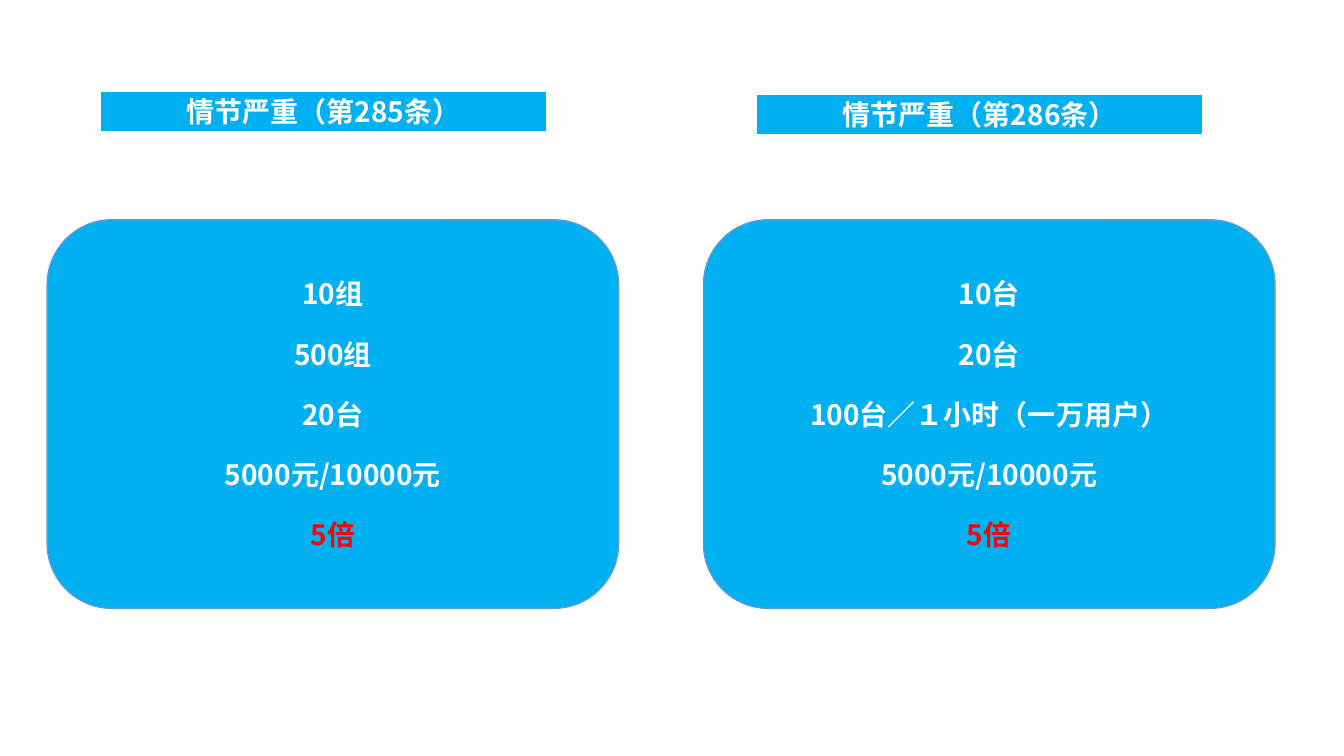
from lxml.etree import SubElement
from pptx import Presentation
from pptx.dml.color import RGBColor
from pptx.enum.shapes import MSO_SHAPE
from pptx.enum.text import MSO_ANCHOR, PP_ALIGN
from pptx.oxml.ns import qn
from pptx.util import Cm, Pt

COLOURS = {"panel": "00B0F0", "edge": "5B9BD5", "text": "FFFFFF", "alert": "FF0000"}
FONT = "Noto Sans CJK SC"
CARD_HEIGHT = 9.79
BANNER_INSET = 1.35
BANNER_HEIGHT = 1

ARTICLES = [
    ((1.19, 2.31, 14.4, 13.02), "情节严重（第285条）",
     ["10组", "500组", "20台", "5000元/10000元", "5倍"]),
    ((17.73, 2.39, 14.4, 12.94), "情节严重（第286条）",
     ["10台", "20台", "100台／１小时（一万用户）", "5000元/10000元", "5倍"]),
]


def colour(name):
    """Return the named palette colour."""
    return RGBColor.from_string(COLOURS[name])


def add_block(page, kind, box, lines):
    """Add a filled shape holding centred bold lines, and return it."""
    block = page.shapes.add_shape(kind, *[Cm(length) for length in box])
    block.shadow.inherit = False
    block.fill.solid()
    block.fill.fore_color.rgb = colour("panel")
    block.line.fill.background()
    frame = block.text_frame
    frame.word_wrap = True
    frame.vertical_anchor = MSO_ANCHOR.MIDDLE
    frame.text = "\n".join(lines)
    for index, para in enumerate(frame.paragraphs):
        para.alignment = PP_ALIGN.CENTER
        para.space_before = Pt(19 if index else 0)
        font = para.runs[0].font
        font.name = FONT
        font.size = Pt(20)
        font.bold = True
        font.color.rgb = colour("text")
        SubElement(para.runs[0]._r.get_or_add_rPr(), qn("a:ea"), typeface=FONT)
    return block


def add_article(page, box, title, thresholds):
    """Place a title banner at the top of the box and a threshold card at its foot."""
    left, top, width, height = box
    banner_width = width - 2 * BANNER_INSET - 0.48
    add_block(page, MSO_SHAPE.LINE_CALLOUT_3_BORDER_AND_ACCENT_BAR,
              (left + BANNER_INSET, top, banner_width, BANNER_HEIGHT), [title])
    card = add_block(page, MSO_SHAPE.ROUNDED_RECTANGLE,
                     (left, top + height - CARD_HEIGHT, width, CARD_HEIGHT), thresholds)
    card.line.color.rgb = colour("edge")
    card.line.width = Pt(1)
    card.text_frame.paragraphs[-1].runs[0].font.color.rgb = colour("alert")


def main():
    """Build the slide comparing the two articles and save it."""
    deck = Presentation()
    deck.slide_width, deck.slide_height = Cm(33.87), Cm(19.05)
    page = deck.slides.add_slide(deck.slide_layouts[6])
    for box, title, thresholds in ARTICLES:
        add_article(page, box, title, thresholds)
    deck.save("out.pptx")


if __name__ == "__main__":
    main()
